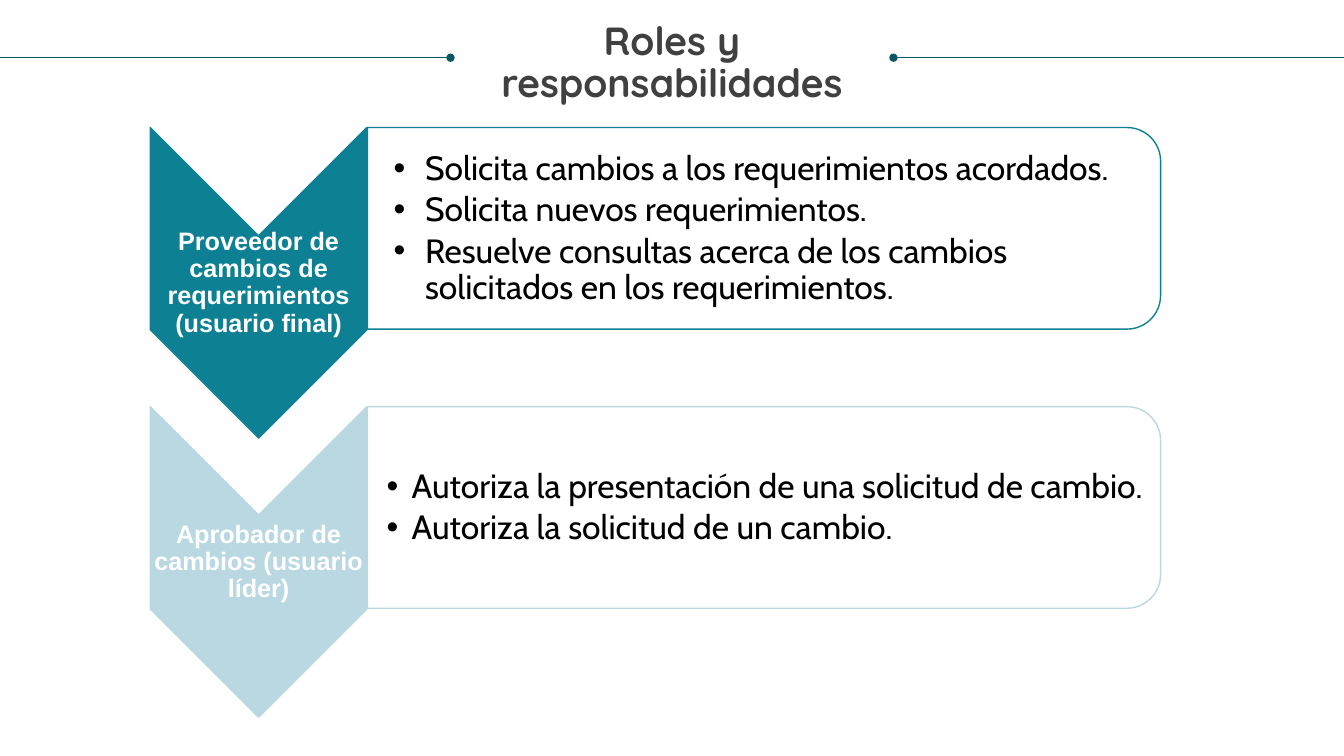
from dataclasses import dataclass

from lxml.etree import SubElement
from pptx import Presentation
from pptx.dml.color import RGBColor
from pptx.enum.shapes import MSO_CONNECTOR, MSO_SHAPE
from pptx.enum.text import MSO_ANCHOR, MSO_AUTO_SIZE, PP_ALIGN
from pptx.oxml.ns import qn
from pptx.shapes.autoshape import Shape
from pptx.slide import Slide
from pptx.text.text import Font, TextFrame
from pptx.util import Pt

SLIDE_WIDTH, SLIDE_HEIGHT = 960, 540
FIRST_TOP, ROLE_PITCH = 91.1, 199.4
CHEVRON_LEFT, CHEVRON_WIDTH, CHEVRON_HEIGHT = 107.3, 154.8, 221.8
PANEL_LEFT, PANEL_WIDTH, PANEL_HEIGHT = 262.4, 566.6, 144
RULE_TOP, RULE_LENGTH = 41.2, 321.8


@dataclass
class Role:
    name: str
    color: str
    duties: list[str]
    inset: float
    indent: float


ROLES = [
    Role("Proveedor de cambios de requerimientos (usuario final)", "0D8193",
         ["Solicita cambios a los requerimientos acordados.",
          "Solicita nuevos requerimientos.",
          "Resuelve consultas acerca de los cambios solicitados en los requerimientos."],
         18.7, 22.5),
    Role("Aprobador de cambios (usuario líder)", "B9D8E2",
         ["Autoriza la presentación de una solicitud de cambio.",
          "Autoriza la solicitud de un cambio."],
         13.7, 18),
]


def rgb(color: str) -> RGBColor:
    return RGBColor.from_string(color)


def set_font(font: Font, name: str, size: float, color: str, bold: bool = False) -> None:
    font.name, font.size, font.bold = name, Pt(size), bold
    font.color.rgb = rgb(color)


def set_frame(tf: TextFrame, anchor: MSO_ANCHOR, inset: float) -> None:
    tf.word_wrap = True
    tf.auto_size = MSO_AUTO_SIZE.NONE
    tf.vertical_anchor = anchor
    tf.margin_left = tf.margin_top = tf.margin_right = tf.margin_bottom = Pt(inset)


def add_text_box(slide: Slide, x: float, y: float, w: float, h: float, inset: float) -> TextFrame:
    tf = slide.shapes.add_textbox(Pt(x), Pt(y), Pt(w), Pt(h)).text_frame
    set_frame(tf, MSO_ANCHOR.MIDDLE, inset)
    return tf


def add_turned(slide: Slide, kind: MSO_SHAPE, x: float, y: float, w: float, h: float,
               fill: str, line: str) -> Shape:
    """Add a shape turned by 90 degrees that covers the given area as seen."""
    sp = slide.shapes.add_shape(kind, Pt(x + (w - h) / 2), Pt(y + (h - w) / 2), Pt(h), Pt(w))
    sp.rotation = 90
    sp.shadow.inherit = False
    sp.fill.solid()
    sp.fill.fore_color.rgb = rgb(fill)
    sp.line.color.rgb = rgb(line)
    sp.line.width = Pt(1)
    return sp


def add_title(slide: Slide) -> None:
    title = slide.shapes.title
    title.left, title.top, title.width, title.height = Pt(18), Pt(15.1), Pt(923.8), Pt(122.4)
    tf = title.text_frame
    set_frame(tf, MSO_ANCHOR.TOP, 0)
    tf.text = "Roles y\nresponsabilidades"
    for p in tf.paragraphs:
        p.alignment, p.line_spacing = PP_ALIGN.CENTER, 0.9
        set_font(p.font, "Quicksand", 28, "404040", True)


def add_title_rule(slide: Slide, outer: float, inner: float) -> None:
    """Draw a rule from the slide edge to a dot beside the title."""
    rule = slide.shapes.add_connector(MSO_CONNECTOR.STRAIGHT, Pt(outer), Pt(RULE_TOP),
                                      Pt(inner), Pt(RULE_TOP))
    rule.line.color.rgb = rgb("085764")
    rule.line.width = Pt(0.5)
    SubElement(rule.line._get_or_add_ln(), qn("a:tailEnd"), type="oval")
    SubElement(rule._element.spPr, qn("a:effectLst"))


def add_duties(tf: TextFrame, role: Role) -> None:
    tf.margin_left = Pt(role.inset)
    tf.text = "\n".join(role.duties)
    for p in tf.paragraphs:
        p.level = 1
        p.line_spacing, p.space_after = 0.9, Pt(3.6)
        props = p._p.get_or_add_pPr()
        props.set("marL", str(Pt(role.indent)))
        props.set("indent", str(-Pt(role.indent)))
        SubElement(props, qn("a:buFont"), typeface="Arial")
        SubElement(props, qn("a:buChar"), char="•")
        set_font(p.font, "Cabin", 24, "000000")


def add_role(slide: Slide, role: Role, top: float) -> None:
    add_turned(slide, MSO_SHAPE.CHEVRON, CHEVRON_LEFT, top, CHEVRON_WIDTH, CHEVRON_HEIGHT,
               role.color, role.color)
    label = add_text_box(slide, CHEVRON_LEFT, top + 78, CHEVRON_WIDTH, 66.2, 0.7)
    label.text = role.name
    p = label.paragraphs[0]
    p.alignment, p.line_spacing = PP_ALIGN.CENTER, 0.9
    set_font(p.font, "Arial", 18, "FFFFFF", True)

    panel = add_turned(slide, MSO_SHAPE.ROUND_2_SAME_RECTANGLE, PANEL_LEFT, top,
                       PANEL_WIDTH, PANEL_HEIGHT, "FFFFFF", role.color)
    fill_color = panel._element.spPr.find(qn("a:solidFill"))[0]
    SubElement(fill_color, qn("a:alpha"), val="90000")
    duties = add_text_box(slide, PANEL_LEFT, top + 7.4, 559.6, 130.2, 1.4)
    add_duties(duties, role)


def main() -> None:
    prs = Presentation()
    prs.slide_width, prs.slide_height = Pt(SLIDE_WIDTH), Pt(SLIDE_HEIGHT)
    slide = prs.slides.add_slide(prs.slide_layouts[5])
    add_title(slide)
    add_title_rule(slide, 0, RULE_LENGTH)
    add_title_rule(slide, SLIDE_WIDTH, SLIDE_WIDTH - RULE_LENGTH)
    for i, role in enumerate(ROLES):
        add_role(slide, role, FIRST_TOP + i * ROLE_PITCH)
    prs.save("out.pptx")


if __name__ == "__main__":
    main()
